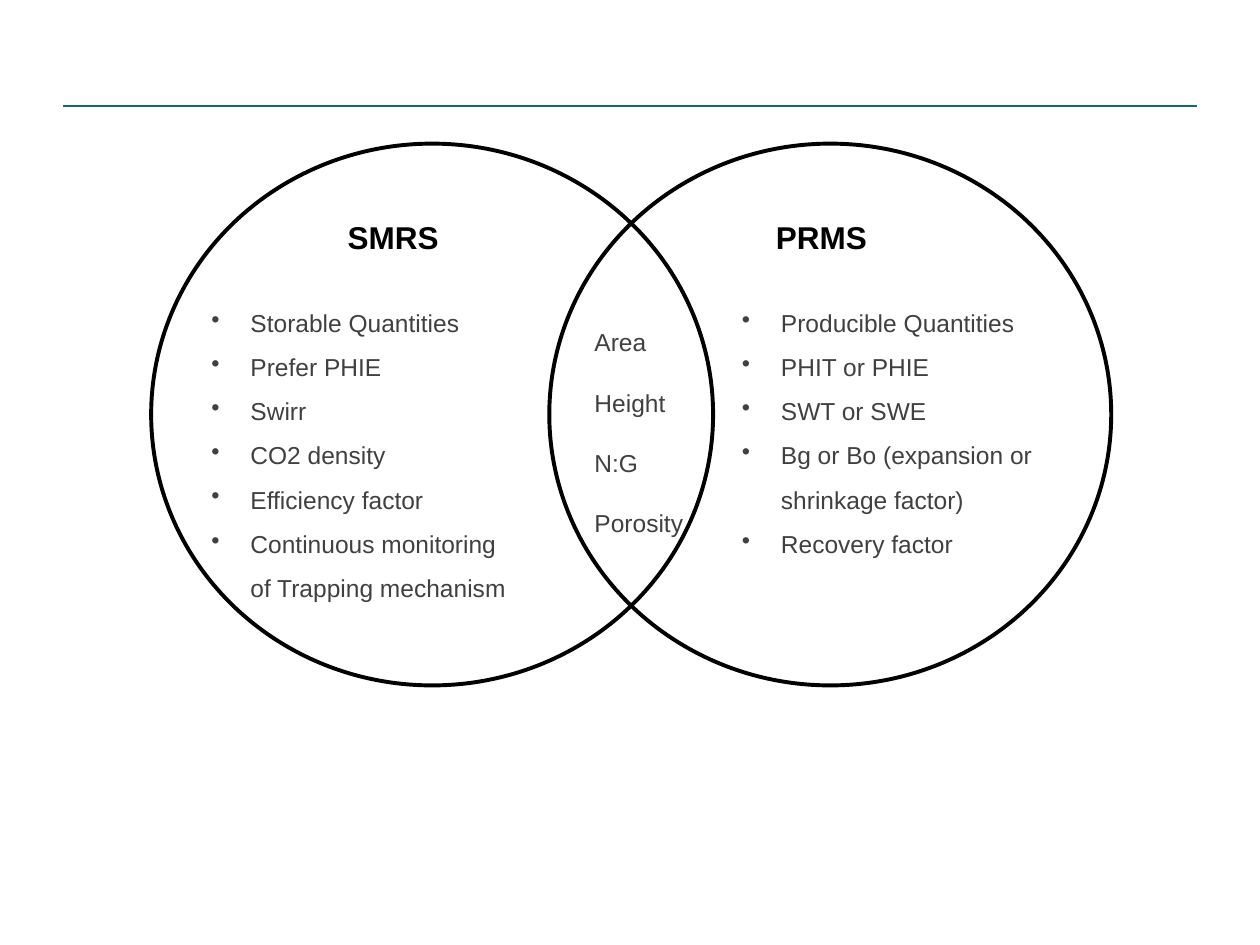
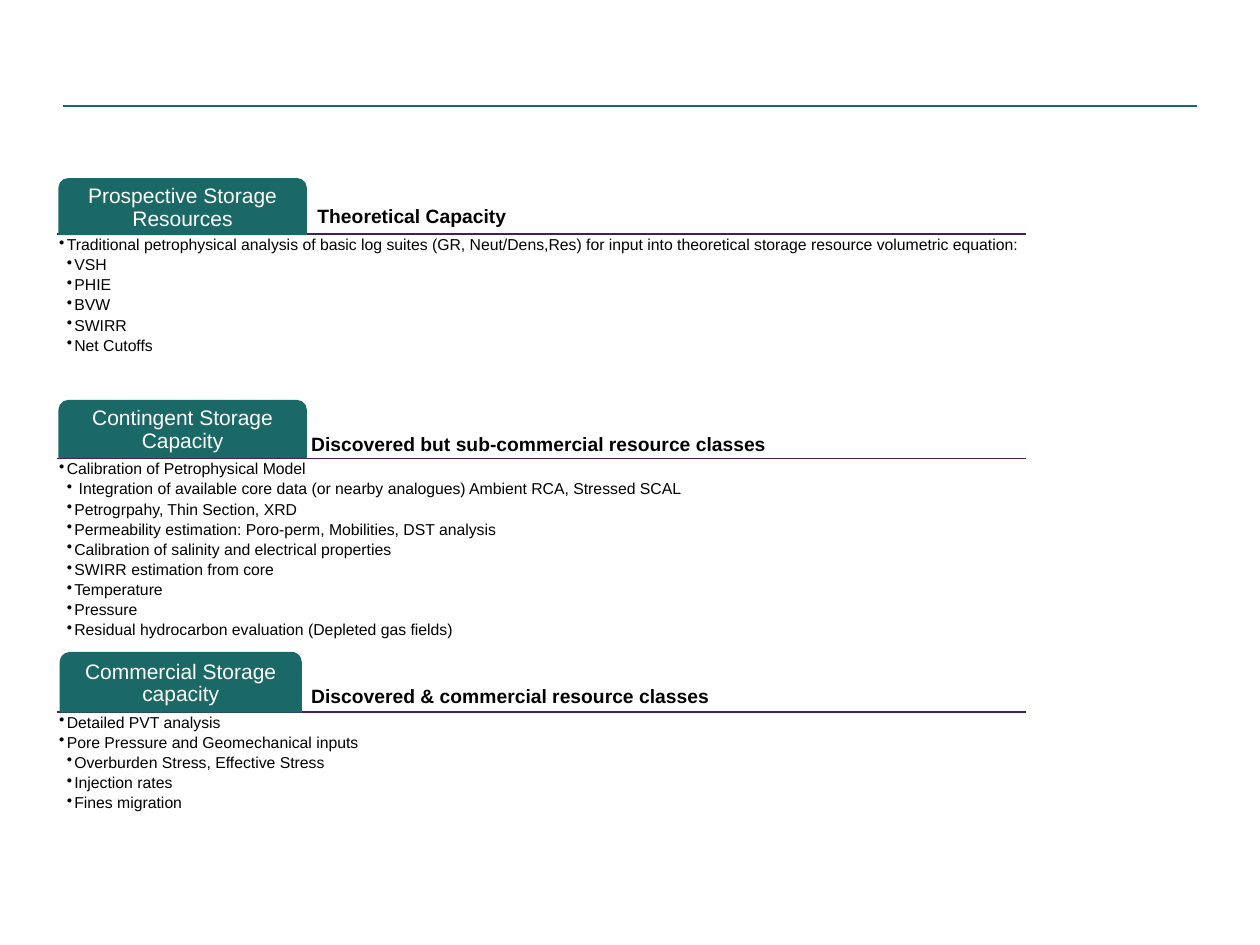
from lxml.etree import SubElement
from pptx import Presentation
from pptx.dml.color import RGBColor
from pptx.enum.shapes import MSO_CONNECTOR as LINE, MSO_SHAPE as SHAPE
from pptx.enum.text import MSO_ANCHOR as ANCHOR, PP_ALIGN as ALIGN
from pptx.oxml.ns import qn
from pptx.util import Inches, Pt

BLACK = RGBColor(0x00, 0x00, 0x00)
WHITE = RGBColor(0xFF, 0xFF, 0xFF)
GREY = RGBColor(0x40, 0x40, 0x40)
TEAL = RGBColor(0x1B, 0x69, 0x67)
PLUM = RGBColor(0x44, 0x1E, 0x61)


def rule(slide, left, right, y, color):
    line = slide.shapes.add_connector(LINE.STRAIGHT, Inches(left), Inches(y), Inches(right), Inches(y))
    line.line.color.rgb = color
    line.line.width = Pt(1)
    SubElement(line._element.spPr, qn("a:effectLst"))


def write(shape, lines, size, color, bold=False, inset=None, anchor=ANCHOR.TOP, hang=0, **form):
    """Fill a shape with (level, text) lines; a hang above zero adds bullets."""
    frame = shape.text_frame
    frame.word_wrap = True
    frame.vertical_anchor = anchor
    if inset is not None:
        for side in ("left", "top", "right", "bottom"):
            setattr(frame, "margin_" + side, Inches(inset))
    for n, (level, text) in enumerate(lines):
        para = frame.add_paragraph() if n else frame.paragraphs[0]
        para.level = level
        for name, value in form.items():
            setattr(para, name, value)
        run = para.add_run()
        run.text = text
        for name, value in {"name": "Arial", "size": Pt(size), "bold": bold}.items():
            setattr(run.font, name, value)
        run.font.color.rgb = color
        if hang:
            props = para._p.get_or_add_pPr()
            props.set("marL", str(Inches(hang * max(level, 1))))
            props.set("indent", str(-Inches(hang)))
            SubElement(props, qn("a:buChar"), char="•")


deck = Presentation()
deck.slide_width, deck.slide_height = Inches(10), Inches(7.5)
venn, tiers = [deck.slides.add_slide(deck.slide_layouts[6]) for _ in range(2)]
for slide in (venn, tiers):
    rule(slide, 0.5, 9.5, 0.84, TEAL)

# Slide 1: two circles, each with a heading and a list
SIDES = [
    (1.2, 2.66, 1.58, "SMRS", [
        "Storable Quantities", "Prefer PHIE", "Swirr", "CO2 density",
        "Efficiency factor", "Continuous monitoring of Trapping mechanism"]),
    (4.36, 6.06, 5.79, "PRMS", [
        "Producible Quantities", "PHIT or PHIE", "SWT or SWE",
        "Bg or Bo (expansion or shrinkage factor)", "Recovery factor"]),
]
for ring_x, head_x, list_x, head, items in SIDES:
    ring = venn.shapes.add_shape(SHAPE.OVAL, Inches(ring_x), Inches(1.14), Inches(4.46), Inches(4.3))
    ring.shadow.inherit = False
    ring.fill.background()
    ring.line.color.rgb = BLACK
    ring.line.width = Pt(2.25)
    box = venn.shapes.add_textbox(Inches(head_x), Inches(1.68), Inches(1.18), Inches(0.4))
    write(box, [(0, head)], 18, BLACK, bold=True)
    box = venn.shapes.add_textbox(Inches(list_x), Inches(2.28), Inches(2.56), Inches(3.56))
    write(box, [(0, item) for item in items], 14, GREY, hang=0.31, line_spacing=1.5)

# Shared terms in the overlap
box = venn.shapes.add_textbox(Inches(4.62), Inches(2.55), Inches(2.56), Inches(3.56))
write(box, [(0, term) for term in ("Area", "Height", "N:G", "Porosity")], 14, GREY, space_after=Pt(17.6))

# Slide 2: tiers as (line y, tab box, heading x and base, tab text, heading, lines)
TIERS = [
    (1.86, (0.47, 1.42, 1.96, 0.44), (2.5, 1.83),
     "Prospective Storage Resources", "Theoretical Capacity", [
        (1, "Traditional petrophysical analysis of basic log suites (GR, Neut/Dens,Res) "
            "for input into theoretical storage resource volumetric equation:"),
        (2, "VSH"), (2, "PHIE"), (2, "BVW"), (2, "SWIRR"), (2, "Net Cutoffs")]),
    (3.64, (0.47, 3.18, 1.96, 0.45), (2.45, 3.64),
     "Contingent Storage Capacity", "Discovered but sub-commercial resource classes", [
        (1, "Calibration of Petrophysical Model"),
        (2, " Integration of available core data (or nearby analogues) Ambient RCA, Stressed SCAL"),
        (2, "Petrogrpahy, Thin Section, XRD"),
        (2, "Permeability estimation: Poro-perm, Mobilities, DST analysis"),
        (2, "Calibration of salinity and electrical properties"),
        (2, "SWIRR estimation from core"), (2, "Temperature"), (2, "Pressure"),
        (2, "Residual hydrocarbon evaluation (Depleted gas fields)")]),
    (5.65, (0.48, 5.18, 1.91, 0.47), (2.45, 5.64),
     "Commercial Storage capacity", "Discovered & commercial resource classes", [
        (1, "Detailed PVT analysis"), (1, "Pore Pressure and Geomechanical inputs"),
        (2, "Overburden Stress, Effective Stress"), (2, "Injection rates"),
        (2, "Fines migration")]),
]
for y, spot, (head_x, base), label, head, lines in TIERS:
    rule(tiers, 0.45, 8.14, y, PLUM)
    tab = tiers.shapes.add_shape(SHAPE.ROUND_2_SAME_RECTANGLE, *map(Inches, spot))
    tab.shadow.inherit = False
    tab.fill.solid()
    tab.fill.fore_color.rgb = TEAL
    tab.line.color.rgb = TEAL
    tab.line.width = Pt(1)
    write(tab, [(0, label)], 12, WHITE, inset=0.03, anchor=ANCHOR.MIDDLE,
          alignment=ALIGN.CENTER, line_spacing=0.9)
    box = tiers.shapes.add_textbox(Inches(head_x), Inches(base - 0.58), Inches(5.6), Inches(0.58))
    write(box, [(0, head)], 11, BLACK, bold=True, inset=0.02, anchor=ANCHOR.BOTTOM, line_spacing=0.9)
    box = tiers.shapes.add_textbox(Inches(0.45), Inches(y), Inches(7.69), Inches(1.2))
    write(box, lines, 9, BLACK, inset=0.02, hang=0.06, line_spacing=0.9, space_after=Pt(1.75))

deck.save("out.pptx")
